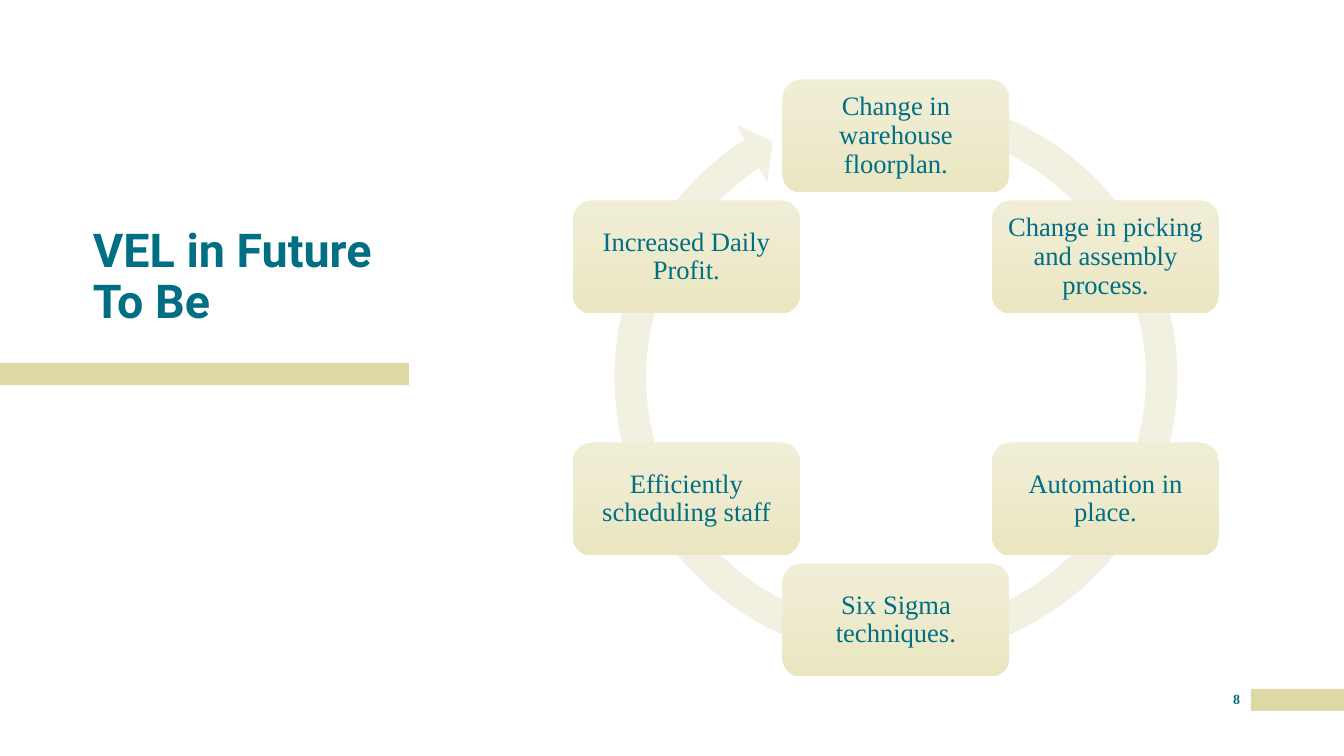
from math import cos, radians, sin

from pptx import Presentation
from pptx.dml.color import RGBColor
from pptx.enum.shapes import MSO_SHAPE as Shape
from pptx.enum.text import MSO_ANCHOR as Anchor, PP_ALIGN as Align
from pptx.util import Emu, Pt

EMU_PER_PX = 914400 / 100.8
COLORS = {
    "teal": "006F83",
    "sand": "DED8A4",
    "ring": "F2F0E0",
    "box_top": "F1EED7",
    "box_bottom": "EAE6C2",
}
BODY_FONT = "Times New Roman"
TITLE_FONT = "Roboto"

# Cycle geometry in px
CENTER_X, CENTER_Y, RADIUS = 896, 378, 242
BOX_WIDTH, BOX_HEIGHT = 227, 113
STEPS = [
    "Change in warehouse floorplan.",
    "Change in picking and assembly process.",
    "Automation in place.",
    "Six Sigma techniques.",
    "Efficiently scheduling staff",
    "Increased Daily Profit.",
]


def px(value):
    return Emu(round(value * EMU_PER_PX))


def color(name):
    return RGBColor.from_string(COLORS[name])


def write(shape, text, size, font=BODY_FONT, bold=False, align=Align.CENTER,
          anchor=Anchor.MIDDLE, inset=0, line_spacing=0.9):
    frame = shape.text_frame
    frame.text = text
    frame.word_wrap = True
    frame.vertical_anchor = anchor
    frame.margin_left = frame.margin_right = px(inset)
    frame.margin_top = frame.margin_bottom = px(inset)
    paragraph = frame.paragraphs[0]
    paragraph.alignment = align
    paragraph.line_spacing = line_spacing
    for run in paragraph.runs:
        run.font.name = font
        run.font.size = Pt(size)
        run.font.bold = bold
        run.font.color.rgb = color("teal")


def add_plain_shape(slide, kind, left, top, width, height, fill):
    shape = slide.shapes.add_shape(kind, px(left), px(top), px(width), px(height))
    shape.shadow.inherit = False
    shape.line.fill.background()
    shape.fill.solid()
    shape.fill.fore_color.rgb = color(fill)
    return shape


def add_text(slide, left, top, width, height, text, size, **style):
    box = slide.shapes.add_textbox(px(left), px(top), px(width), px(height))
    write(box, text, size, **style)


def add_ring(slide):
    side = 597
    ring = add_plain_shape(slide, Shape.CIRCULAR_ARROW, CENTER_X - side / 2,
                           CENTER_Y - side / 2 - 1, side, side, "ring")
    for index, value in enumerate([0.053, 3.126, 142.291, 171.264, 0.055]):
        ring.adjustments[index] = value


def add_step(slide, index, text):
    angle = radians(index * 360 / len(STEPS))
    left = CENTER_X + RADIUS * sin(angle) - BOX_WIDTH / 2
    top = CENTER_Y - RADIUS * cos(angle) - BOX_HEIGHT / 2
    box = add_plain_shape(slide, Shape.ROUNDED_RECTANGLE, left, top,
                          BOX_WIDTH, BOX_HEIGHT, "box_top")
    box.fill.gradient()
    box.fill.gradient_angle = 270
    for stop, name in zip(box.fill.gradient_stops, ["box_top", "box_bottom"]):
        stop.color.rgb = color(name)
    write(box, text, 19, inset=8)


def main():
    presentation = Presentation()
    presentation.slide_width, presentation.slide_height = px(1344), px(756)
    slide = presentation.slides.add_slide(presentation.slide_layouts[6])

    # Accent bars and page number
    add_plain_shape(slide, Shape.RECTANGLE, 1251, 689, 93, 22, "sand")
    add_plain_shape(slide, Shape.RECTANGLE, 0, 363, 409, 22, "sand")
    add_text(slide, 1222, 691, 29, 25, "8", 10, bold=True,
             anchor=Anchor.TOP, line_spacing=1.0)

    # Title
    add_text(slide, 93, 205, 327, 146, "VEL in Future\vTo Be", 33.3,
             font=TITLE_FONT, bold=True, align=Align.LEFT)

    # Cycle of steps, clockwise from the top
    add_ring(slide)
    for index, text in enumerate(STEPS):
        add_step(slide, index, text)

    presentation.save("out.pptx")


if __name__ == "__main__":
    main()
